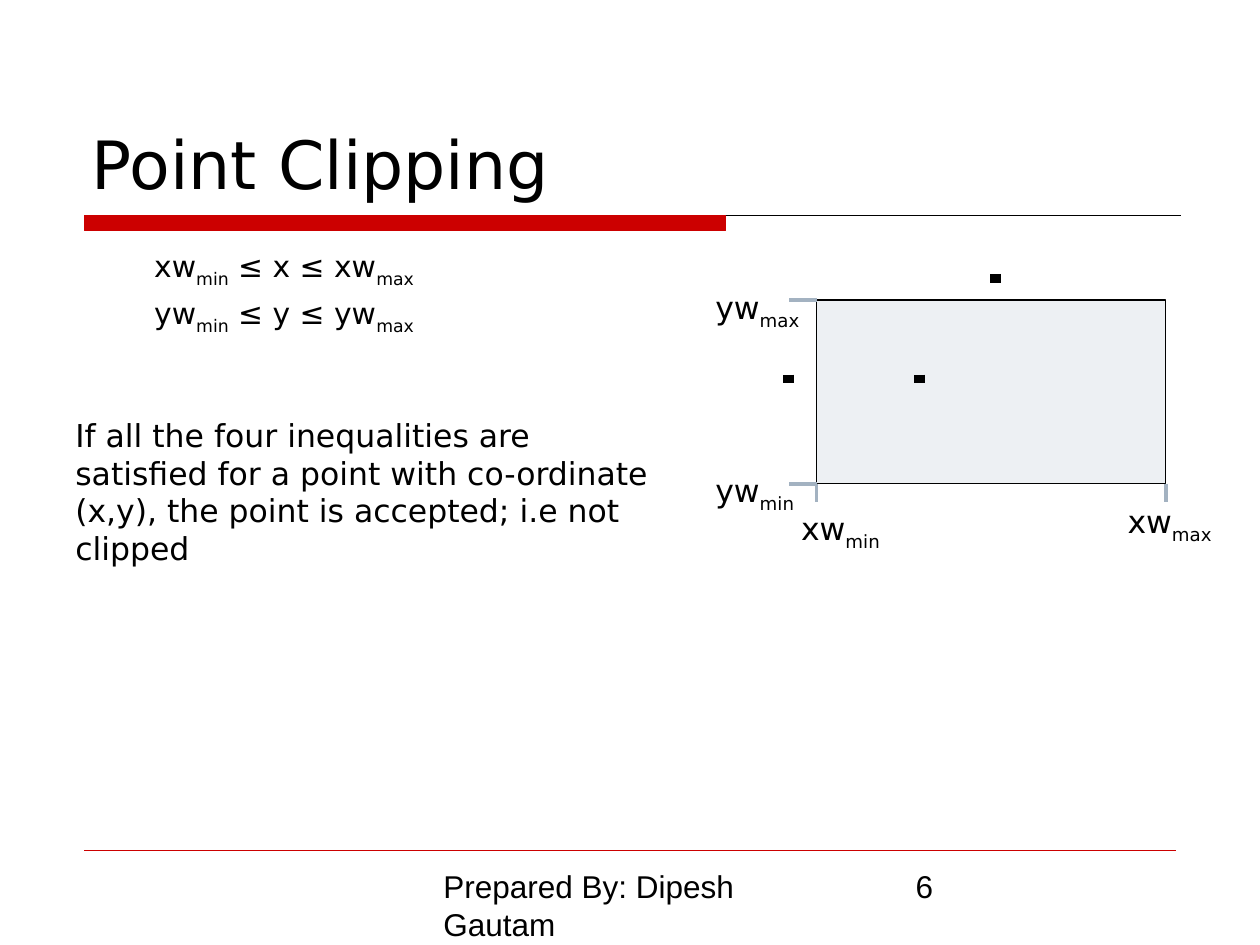
import pptx
import pptx.dml.color
import pptx.enum.shapes
import pptx.enum.text
import pptx.oxml.ns
import pptx.util
from lxml import etree
from pptx.util import Cm

COLORS = {"ink": "000000", "accent": "CC0000", "window": "A3B2C1"}
BODY_FONT = "DejaVu Sans"
FOOTER_FONT = "Arial"


def rgb(name):
    return pptx.dml.color.RGBColor.from_string(COLORS[name])


def write_text(frame, text, size=18, font=BODY_FONT, anchor="TOP",
               space_before=0, margin=0, indent=0):
    """Write one paragraph per line; parts between bars become subscripts."""
    frame.word_wrap = True
    frame.auto_size = pptx.enum.text.MSO_AUTO_SIZE.NONE
    frame.vertical_anchor = getattr(pptx.enum.text.MSO_ANCHOR, anchor)
    for row, line in enumerate(text.split("\n")):
        paragraph = frame.add_paragraph() if row else frame.paragraphs[0]
        paragraph.alignment = pptx.enum.text.PP_ALIGN.LEFT
        paragraph.space_before = pptx.util.Pt(space_before if row else 0)
        if margin:
            properties = paragraph._p.get_or_add_pPr()
            properties.set("marL", str(Cm(margin)))
            properties.set("indent", str(Cm(indent)))
        for part, words in enumerate(line.split("|")):
            if not words:
                continue
            run = paragraph.add_run()
            run.text = words
            run.font.size = pptx.util.Pt(size)
            run.font.name = font
            run.font.color.rgb = rgb("ink")
            if part % 2:
                run.font._element.set("baseline", "-25000")


def add_text(slide, box, text, **text_format):
    label = slide.shapes.add_textbox(*map(Cm, box))
    write_text(label.text_frame, text, **text_format)


def add_line(slide, x, y, dx, dy, color, weight):
    line = slide.shapes.add_connector(
        pptx.enum.shapes.MSO_CONNECTOR.STRAIGHT,
        Cm(x), Cm(y), Cm(x + dx), Cm(y + dy))
    line.line.color.rgb = rgb(color)
    line.line.width = pptx.util.Pt(weight)
    etree.SubElement(line._element.spPr, pptx.oxml.ns.qn("a:effectLst"))


def add_box(slide, box, fill, outline, opacity=None):
    shape = slide.shapes.add_shape(
        pptx.enum.shapes.MSO_SHAPE.RECTANGLE, *map(Cm, box))
    shape.shadow.inherit = False
    shape.fill.solid()
    shape.fill.fore_color.rgb = rgb(fill)
    shape.line.color.rgb = rgb(outline)
    shape.line.width = pptx.util.Pt(0.75)
    if opacity is not None:
        color = shape._element.spPr.find(".//" + pptx.oxml.ns.qn("a:srgbClr"))
        alpha = etree.SubElement(color, pptx.oxml.ns.qn("a:alpha"))
        alpha.set("val", str(opacity * 1000))


def build_header(slide, left, top, width, height):
    title = slide.shapes.title
    title.left, title.top = Cm(left), Cm(top)
    title.width, title.height = Cm(width), Cm(height)
    write_text(title.text_frame, "Point Clipping", size=38, anchor="BOTTOM")

    # Rule under the title, with a thick red start
    rule_x, rule_y = left + 0.1, top + height + 0.12
    add_line(slide, rule_x, rule_y, 22.1, 0, "ink", 0.75)
    add_box(slide, (rule_x, rule_y, 12.93, 0.31), "accent", "accent")


def build_conditions(slide, left, top, width, height):
    add_text(slide, (left, top, width, height),
             "xw|min| ≤ x ≤ xw|max|\nyw|min| ≤ y ≤ yw|max|",
             size=17, space_before=3.4, margin=2.51, indent=-1.22)
    add_text(slide, (left - 0.3, top + 3.38, 12.27, 3.3),
             "If all the four inequalities are satisfied for a point with "
             "co-ordinate (x,y), the point is accepted; i.e not clipped")


def build_clip_window(slide, left, top, width, height):
    right, bottom = left + width, top + height
    add_box(slide, (left, top, width, height), "window", "ink", opacity=19)

    # Sample points: left of, above and inside the window
    for dx, dy in [(-0.56, 1.5), (3.61, -0.53), (2.08, 1.5)]:
        add_line(slide, left + dx, top + dy, 0, 0.18, "ink", 6)

    # Boundary ticks
    for x in (left, right):
        add_line(slide, x, bottom, 0, 0.36, "window", 2.25)
    for y in (top, bottom):
        add_line(slide, left, y, -0.56, 0, "window", 2.25)

    # Boundary labels
    for text, dx, dy in [("xw|min|", -0.56, 4.09), ("xw|max|", 6.02, 3.94),
                         ("yw|min|", -2.29, 3.33), ("yw|max|", -2.29, -0.36)]:
        add_text(slide, (left + dx, top + dy, 2.3, 1.02), text)


def build_footer(slide, left, top, width):
    add_line(slide, left, top, width, 0, "accent", 0.75)
    for text, dx, box_width in [("Prepared By: Dipesh Gautam", 6.99, 8.05),
                                ("6", 16.51, 5.51)]:
        add_text(slide, (left + dx, top + 0.2, box_width, 1.32), text,
                 font=FOOTER_FONT)


def main():
    deck = pptx.Presentation()
    deck.slide_width, deck.slide_height = Cm(25.4), Cm(19.05)
    slide = deck.slides.add_slide(deck.slide_layouts.get_by_name("Title Only"))
    build_header(slide, 1.6, 0.84, 22.22, 3.38)
    build_conditions(slide, 1.57, 4.88, 22.22, 11.86)
    build_clip_window(slide, 16.46, 6.05, 7.04, 3.7)
    build_footer(slide, 1.7, 17.15, 22)
    deck.save("out.pptx")


if __name__ == "__main__":
    main()
